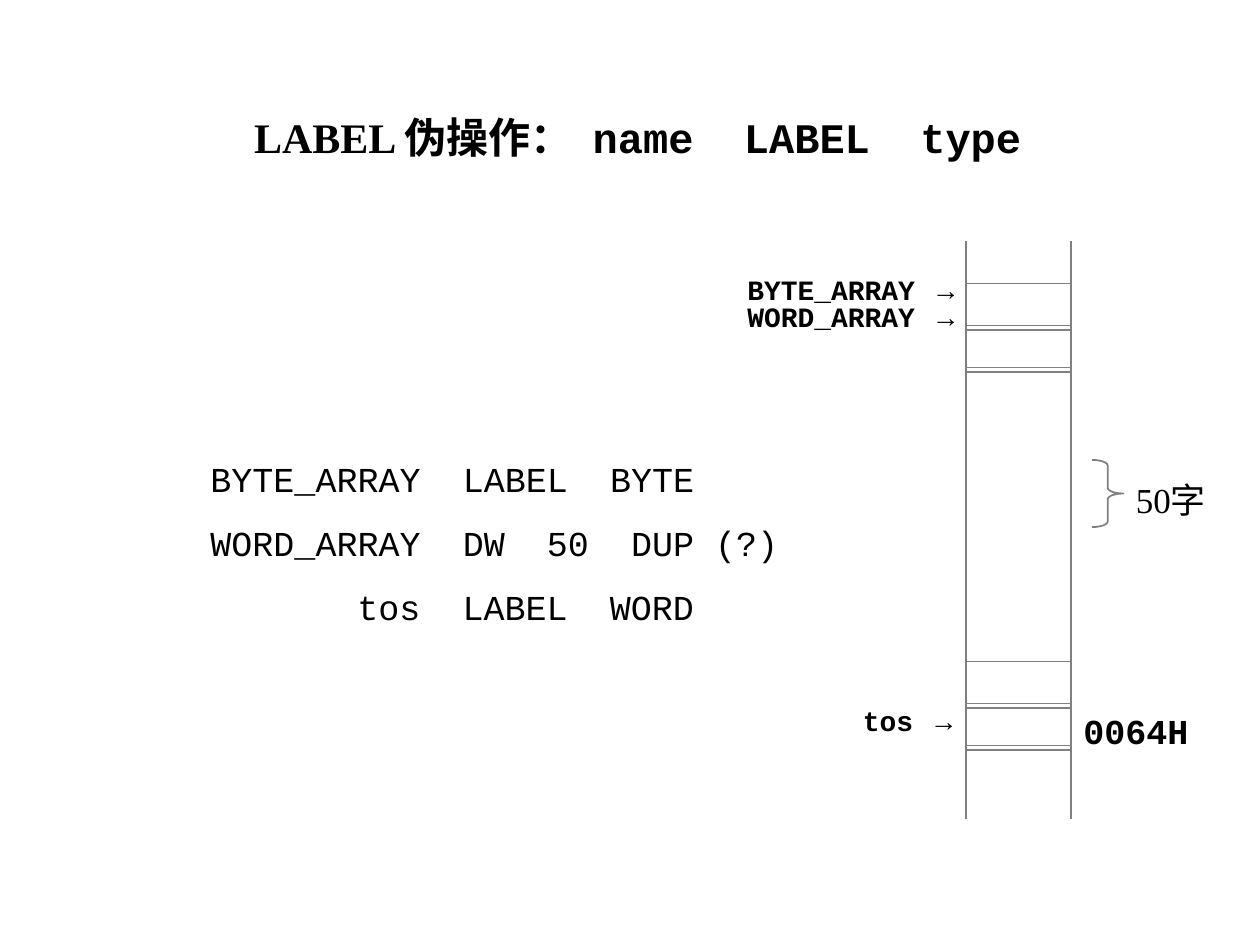
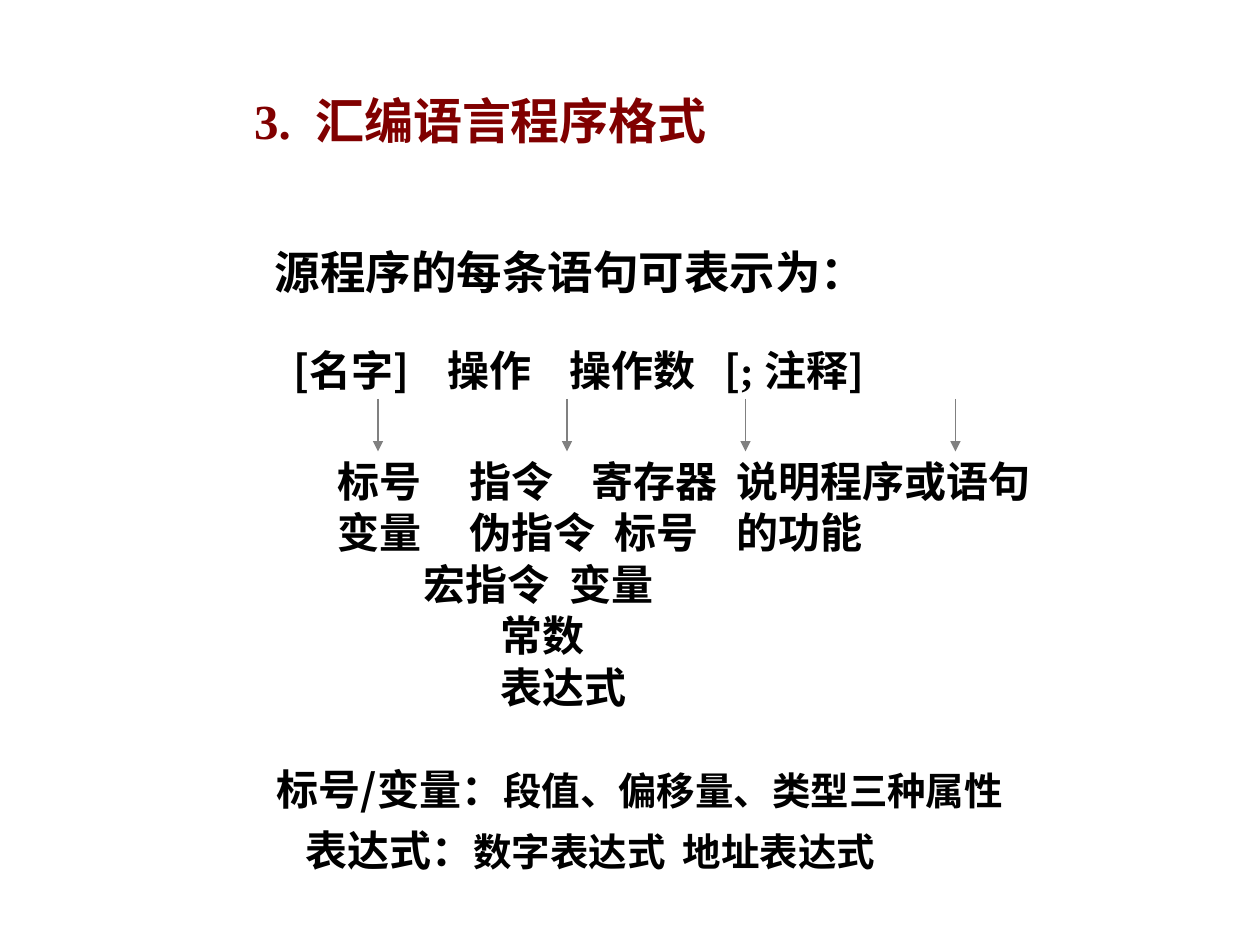
import pptx
import pptx.util
import pptx.dml.color
import pptx.enum.shapes
import pptx.enum.text
import pptx.oxml.ns
import lxml.etree

COLUMNS, ROWS = 120, 90
BLACK, MAROON, GREY = "000000", "800000", "808080"
SERIF, MONO, HAN, SANS = "Times New Roman", "Courier New", "Noto Sans CJK SC", "Arial"
SPACE_WIDTH = {SERIF: 0.25, MONO: 0.6, HAN: 0.227}  # shares of the text size
TITLE_LEFT = 23

color = pptx.dml.color.RGBColor.from_string
qn = pptx.oxml.ns.qn
deck = pptx.Presentation()
deck.slide_width = pptx.util.Inches(10)
deck.slide_height = pptx.util.Inches(7.5)
UNIT = deck.slide_width // COLUMNS  # the same as slide height / ROWS


def write(shape, box, paragraphs, font=HAN, size=24, bold=True, ink=BLACK,
          spacing=1.0, before=0, middle=False):
    """Each paragraph is (indent in columns, [(text, font, size), ...]).
    A run may leave out its font and size; a number as text is a gap,
    one space tracked out to the width of that many."""
    shape.left, shape.top, shape.width, shape.height = (int(n * UNIT) for n in box)
    frame = shape.text_frame
    frame.word_wrap = True
    frame.auto_size = pptx.enum.text.MSO_AUTO_SIZE.NONE
    anchors = pptx.enum.text.MSO_ANCHOR
    frame.vertical_anchor = anchors.MIDDLE if middle else anchors.TOP
    for index, (indent, runs) in enumerate(paragraphs):
        paragraph = frame.add_paragraph() if index else frame.paragraphs[0]
        properties = paragraph._p.get_or_add_pPr()
        properties.set("marL", str(int(indent * UNIT)))
        properties.set("indent", "0")
        lxml.etree.SubElement(properties, qn("a:buNone"))
        paragraph.alignment = pptx.enum.text.PP_ALIGN.LEFT
        paragraph.line_spacing = spacing
        paragraph.space_before = pptx.util.Pt(before if index else 0)
        for text, *own in runs:
            face = own[0] if own else font
            points = own[1] if len(own) > 1 else size
            run = paragraph.add_run()
            run.font.name = face
            run.font.size = pptx.util.Pt(points)
            run.font.bold = bold
            run.font.color.rgb = color(ink)
            east_asian = lxml.etree.Element(qn("a:ea"), typeface=HAN)
            run.font._element.find(qn("a:latin")).addnext(east_asian)
            if isinstance(text, int):
                tracking = (text - 1) * SPACE_WIDTH[face] * points
                run.font._element.set("spc", str(round(tracking * 100)))
                text = " "
            run.text = text


def rule(slide, column, top, bottom, arrow=False):
    """Draw a vertical grey line, with an arrowhead at its foot if asked."""
    line = slide.shapes.add_connector(
        pptx.enum.shapes.MSO_CONNECTOR.STRAIGHT,
        *(int(n * UNIT) for n in (column, top, column, bottom)))
    line.line.color.rgb = color(GREY)
    line.line.width = pptx.util.Pt(1)
    if arrow:
        lxml.etree.SubElement(line.line._get_or_add_ln(), qn("a:tailEnd"), type="triangle")
    lxml.etree.SubElement(line._element.spPr, qn("a:effectLst"))


# Slide 1: the LABEL directive
label_slide = deck.slides.add_slide(deck.slide_layouts[1])
write(label_slide.shapes.title, (TITLE_LEFT, 10, 78, 6), [
    (0, [("LABEL 伪操作：",), (2,), ("name", MONO), (2, MONO), ("LABEL", MONO),
         (2, MONO), ("type", MONO)]),
], font=SERIF)

# Declarations
write(label_slide.placeholders[1], (18.84, 43, 56.6, 17.4), [
    (0, [("BYTE_ARRAY",), (2,), ("LABEL",), (2,), ("BYTE",)]),
    (0, [("WORD_ARRAY",), (2,), ("DW",), (2,), ("50",), (2,), ("DUP (?)",)]),
    (14, [("tos",), (2,), ("LABEL",), (2,), ("WORD",)]),
], font=MONO, size=20, bold=False, before=12.5, middle=True)

# Memory column: its two sides, and cells with a double lower edge
MEMORY_LEFT, MEMORY_WIDTH = 92, 10
for side in (MEMORY_LEFT, MEMORY_LEFT + MEMORY_WIDTH):
    for top, bottom in ((23, 28), (31, 78)):
        rule(label_slide, side, top, bottom)

outlines = [(pptx.enum.shapes.MSO_SHAPE.RECTANGLE, MEMORY_LEFT, top, MEMORY_WIDTH, height)
            for top in (27, 31, 63, 67) for height in (4, 4.45)]
outlines.append((pptx.enum.shapes.MSO_SHAPE.RIGHT_BRACE, 104, 43.8, 3, 6.4))
for kind, *box in outlines:
    outline = label_slide.shapes.add_shape(kind, *(int(n * UNIT) for n in box))
    outline.shadow.inherit = False
    outline.fill.background()
    outline.line.color.rgb = color(GREY)
    outline.line.width = pptx.util.Pt(1)
outline.adjustments[0] = 0.18  # the brace, drawn last

# Names pointing at the memory cells
for box, names in [((70, 26, 24, 6.4), ["BYTE_ARRAY ", "WORD_ARRAY "]),
                   ((81, 67, 12, 3.8), ["tos "])]:
    write(label_slide.shapes.add_textbox(0, 0, 0, 0), box,
          [(0, [(name,), ("→", SANS)]) for name in names],
          font=MONO, size=16, spacing=0.8)

# Size and end address of the array
for box, note, font, bold in [((107, 45, 11, 5.3), "50字", SERIF, False),
                              ((102, 67, 13, 5.3), "0064H", MONO, True)]:
    write(label_slide.shapes.add_textbox(0, 0, 0, 0), box, [(0, [(note,)])],
          font=font, size=20, bold=bold)

# Slide 2: the format of an assembly program
format_slide = deck.slides.add_slide(deck.slide_layouts[1])
write(format_slide.shapes.title, (TITLE_LEFT, 8, 66, 6.8),
      [(0, [("3.",), (2,), ("汇编语言程序格式",)])], font=SERIF, size=28, ink=MAROON)

# Statement pattern
write(format_slide.placeholders[1], (24.96, 18, 78, 20.3), [
    (0, [("源程序的每条语句可表示为：", HAN, 26)]),
    (1.8, [("[名字]",), (4,), ("操作",), (4,), ("操作数",), (3,), ("[",),
           ("; ", SERIF), ("注释]",)]),
], spacing=1.9)

# Arrows from the pattern to what each field may hold
for column in (36, 54, 71, 91):
    rule(format_slide, column, 38, 43, arrow=True)

write(format_slide.shapes.add_textbox(0, 0, 0, 0), (31, 44.8, 83, 23.3), [
    (0, [("标号",), (5,), ("指令",), (4,), ("寄存器",), (2,), ("说明程序或语句",)]),
    (0, [("变量",), (5,), ("伪指令",), (2,), ("标号",), (4,), ("的功能",)]),
    (8.2, [("宏指令",), (2,), ("变量",)]),
    (15.5, [("常数",)]),
    (15.5, [("表达式",)]),
], spacing=0.5, before=15, middle=True)

# Attributes and kinds of expression
write(format_slide.shapes.add_textbox(0, 0, 0, 0), (25.2, 71.2, 78, 12.7), [
    (0, [("标号/变量：",), ("段值、偏移量、类型三种属性", SERIF, 22)]),
    (2.7, [("表达式：",), ("数字表达式", HAN, 22), (2, HAN, 22), ("地址表达式", HAN, 22)]),
], spacing=1.2, middle=True)

deck.save("out.pptx")
